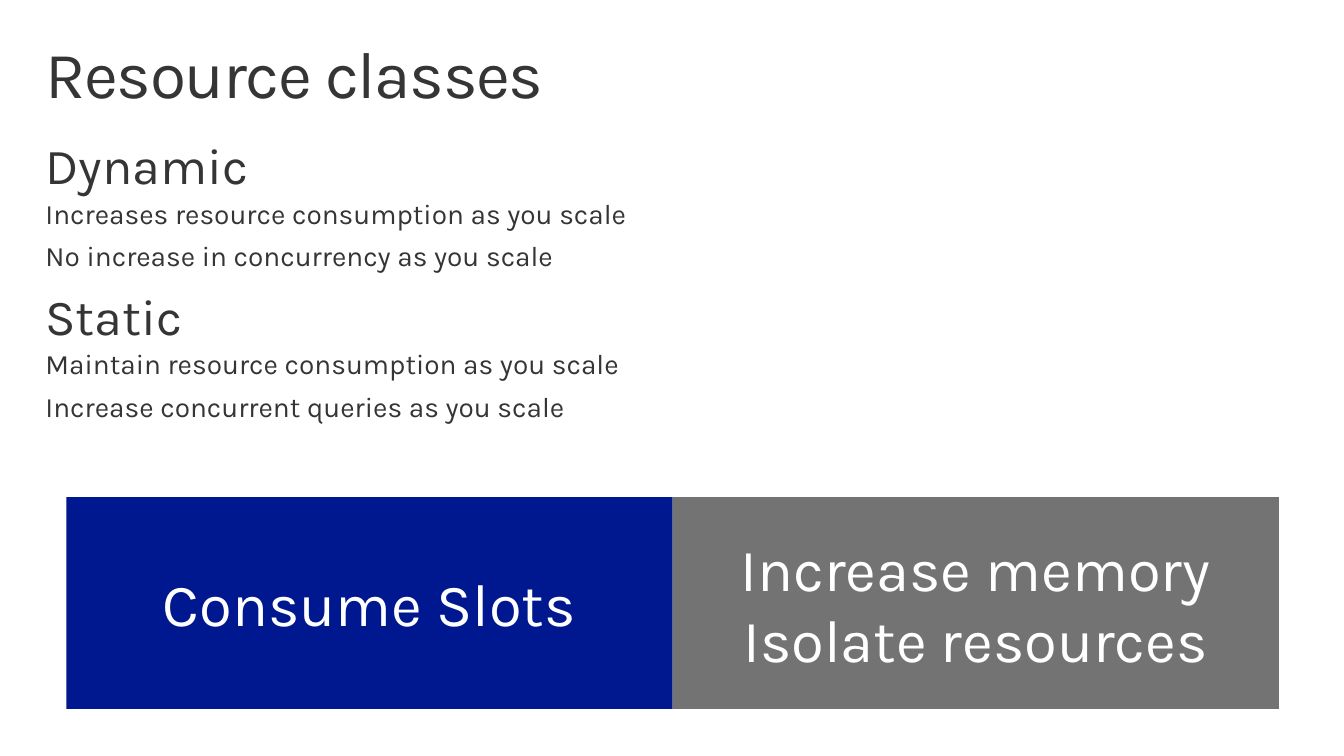
from dataclasses import dataclass

from pptx import Presentation
from pptx.dml.color import RGBColor
from pptx.enum.shapes import MSO_SHAPE
from pptx.enum.text import MSO_ANCHOR, PP_ALIGN
from pptx.util import Cm, Pt

TITLE = "Resource classes"
CLASSES = [
    ("Dynamic", ["Increases resource consumption as you scale",
                 "No increase in concurrency as you scale"]),
    ("Static", ["Maintain resource consumption as you scale",
                "Increase concurrent queries as you scale"]),
]
EFFECTS = [
    (["Consume Slots"], "00188F"),
    (["Increase memory", "Isolate resources"], "737373"),
]


@dataclass(frozen=True)
class Theme:
    font: str = "Karla"
    ink: str = "353535"
    light: str = "FFFFFF"
    title: float = 48
    heading: float = 36.7
    detail: float = 20.4
    panel: float = 43.5


THEME = Theme()
TEXT_LEFT, TEXT_WIDTH = Cm(0.76), Cm(33.02)
PANEL_LEFT, PANEL_TOP = Cm(1.71), Cm(12.78)
PANEL_WIDTH, PANEL_HEIGHT = Cm(15.58), Cm(5.44)


def add_text_box(page, top, height):
    box = page.shapes.add_textbox(TEXT_LEFT, top, TEXT_WIDTH, height)
    frame = box.text_frame
    frame.word_wrap = True
    frame.margin_left = frame.margin_right = Cm(0.41)
    frame.margin_top = frame.margin_bottom = Cm(0.25)
    return frame


def write_lines(frame, lines):
    """Fill the frame with (text, size, colour) lines and return its paragraphs."""
    for index, (text, size, colour) in enumerate(lines):
        para = frame.add_paragraph() if index else frame.paragraphs[0]
        para.text = text
        para.font.name = THEME.font
        para.font.size = Pt(size)
        para.font.color.rgb = RGBColor.from_string(colour)
    return frame.paragraphs


def add_title(page):
    frame = add_text_box(page, Cm(0.81), Cm(2.54))
    para = write_lines(frame, [(TITLE, THEME.title, THEME.ink)])[0]
    para.line_spacing = 0.9
    para.runs[0].font._element.set("spc", "-100")


def add_classes(page):
    lines = []
    for heading, details in CLASSES:
        lines.append((heading, THEME.heading, THEME.ink))
        lines += [(detail, THEME.detail, THEME.ink) for detail in details]
    frame = add_text_box(page, Cm(3.38), Cm(7.85))
    for index, para in enumerate(write_lines(frame, lines)):
        para.line_spacing = 0.9
        if lines[index][1] == THEME.detail:
            para.space_before, para.space_after = Pt(3.1), Pt(6.1)
        elif index:
            para.space_before = Pt(THEME.heading * 0.2)


def add_effects(page):
    for index, (texts, fill) in enumerate(EFFECTS):
        panel = page.shapes.add_shape(
            MSO_SHAPE.RECTANGLE, PANEL_LEFT + index * PANEL_WIDTH, PANEL_TOP,
            PANEL_WIDTH, PANEL_HEIGHT)
        panel.shadow.inherit = False
        panel.fill.solid()
        panel.fill.fore_color.rgb = RGBColor.from_string(fill)
        panel.line.fill.background()
        panel.text_frame.vertical_anchor = MSO_ANCHOR.MIDDLE
        lines = [(text, THEME.panel, THEME.light) for text in texts]
        for para in write_lines(panel.text_frame, lines):
            para.alignment = PP_ALIGN.CENTER


def main():
    deck = Presentation()
    deck.slide_width, deck.slide_height = Cm(34.54), Cm(19.43)
    page = deck.slides.add_slide(deck.slide_layouts[6])
    add_title(page)
    add_classes(page)
    add_effects(page)
    deck.save("out.pptx")


if __name__ == "__main__":
    main()
